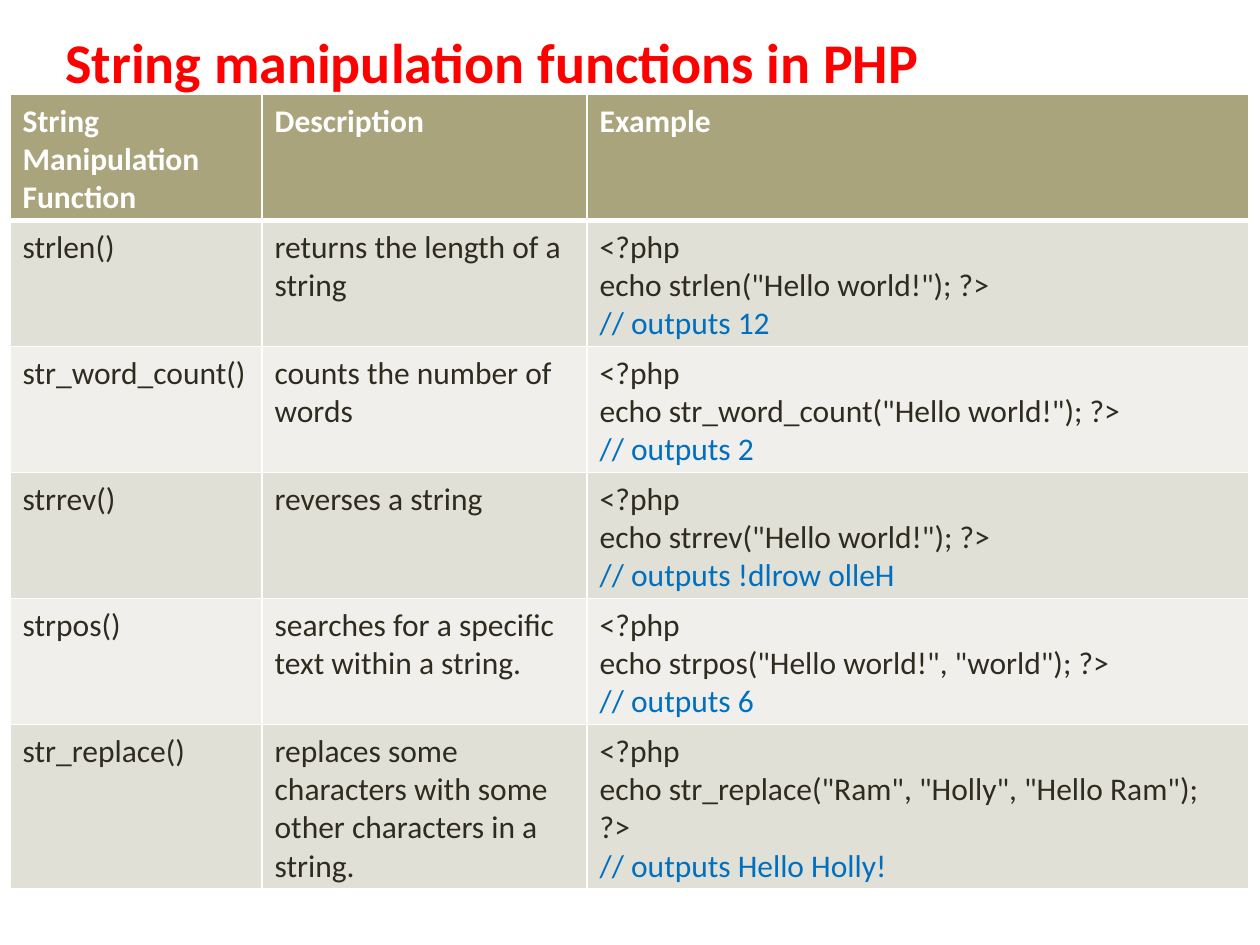
from dataclasses import dataclass

from lxml.etree import SubElement
from pptx import Presentation
from pptx.dml.color import RGBColor
from pptx.oxml.ns import qn
from pptx.util import Inches, Pt


@dataclass(frozen=True)
class Theme:
    font: str = "Calibri"
    title_size: int = 32
    body_size: int = 18
    title: str = "FF0000"
    header_text: str = "FFFFFF"
    text: str = "2E2B1F"
    output: str = "006FC0"
    header_fill: str = "A9A47B"
    bands: tuple = ("E1E0D6", "F0EFEB")
    border: str = "FFFFFF"


THEME = Theme()
COL_WIDTHS = (2, 2.58, 5.25)
ROW_HEIGHTS = (1, 1, 1, 1, 1, 1.3)
HEADERS = ("String Manipulation Function", "Description", "Example")
FUNCTIONS = (
    ("strlen()", "returns the length of a string",
     ('echo strlen("Hello world!"); ?>',), "12"),
    ("str_word_count()", "counts the number of words",
     ('echo str_word_count("Hello world!"); ?>',), "2"),
    ("strrev()", "reverses a string",
     ('echo strrev("Hello world!"); ?>',), "!dlrow olleH"),
    ("strpos()", "searches for a specific text within a string.",
     ('echo strpos("Hello world!", "world"); ?>',), "6"),
    ("str_replace()",
     "replaces some characters with some other characters in a string.",
     ('echo str_replace("Ram", "Holly", "Hello Ram");', "?>"), "Hello Holly!"),
)


def write(p, text, *, size=THEME.body_size, color=THEME.text, bold=False):
    r = p.add_run()
    r.text = text
    r.font.name = THEME.font
    r.font.size = Pt(size)
    r.font.bold = bold
    r.font.color.rgb = RGBColor.from_string(color)


def add_title(s, text):
    tf = s.shapes.add_textbox(Inches(0.42), Inches(0.17),
                              Inches(8.42), Inches(0.64)).text_frame
    tf.word_wrap = True
    write(tf.paragraphs[0], text, size=THEME.title_size,
          color=THEME.title, bold=True)


def set_borders(cell, **widths):
    """Draw the named edges (L, R, T, B) with widths in points."""
    tc_pr = cell._tc.get_or_add_tcPr()
    for i, (edge, width) in enumerate(widths.items()):
        ln = SubElement(tc_pr, qn(f"a:ln{edge}"), w=str(Pt(width)))
        fill = SubElement(ln, qn("a:solidFill"))
        SubElement(fill, qn("a:srgbClr"), val=THEME.border)
        tc_pr.insert(i, ln)  # borders must precede the cell fill


def fill_cell(cell, lines, fill, top=1, bottom=1, **fmt):
    """Write (text, color) lines into a filled and bordered cell."""
    cell.margin_left = cell.margin_right = Inches(0.1)
    cell.margin_top, cell.margin_bottom = Inches(0.06), 0
    cell.fill.solid()
    cell.fill.fore_color.rgb = RGBColor.from_string(fill)
    set_borders(cell, L=1, R=1, T=top, B=bottom)
    tf = cell.text_frame
    for i, (text, color) in enumerate(lines):
        p = tf.add_paragraph() if i else tf.paragraphs[0]
        write(p, text, color=color, **fmt)


def add_function_table(s):
    table = s.shapes.add_table(
        len(ROW_HEIGHTS), len(COL_WIDTHS), Inches(0.08), Inches(0.75),
        Inches(sum(COL_WIDTHS)), Inches(sum(ROW_HEIGHTS))).table
    for col, width in zip(table.columns, COL_WIDTHS):
        col.width = Inches(width)
    for row, height in zip(table.rows, ROW_HEIGHTS):
        row.height = Inches(height)

    for c, header in enumerate(HEADERS):
        fill_cell(table.cell(0, c), [(header, THEME.header_text)],
                  THEME.header_fill, bottom=3, bold=True)
    for r, (name, description, code, output) in enumerate(FUNCTIONS, 1):
        example = [(line, THEME.text) for line in ("<?php", *code)]
        example.append((f"// outputs {output}", THEME.output))
        contents = ([(name, THEME.text)], [(description, THEME.text)], example)
        for c, lines in enumerate(contents):
            fill_cell(table.cell(r, c), lines, THEME.bands[(r - 1) % 2],
                      top=3 if r == 1 else 1)


def main():
    prs = Presentation()
    prs.slide_width, prs.slide_height = Inches(10), Inches(7.5)
    s = prs.slides.add_slide(prs.slide_layouts[6])
    add_function_table(s)
    add_title(s, "String manipulation functions in PHP")
    prs.save("out.pptx")


if __name__ == "__main__":
    main()
